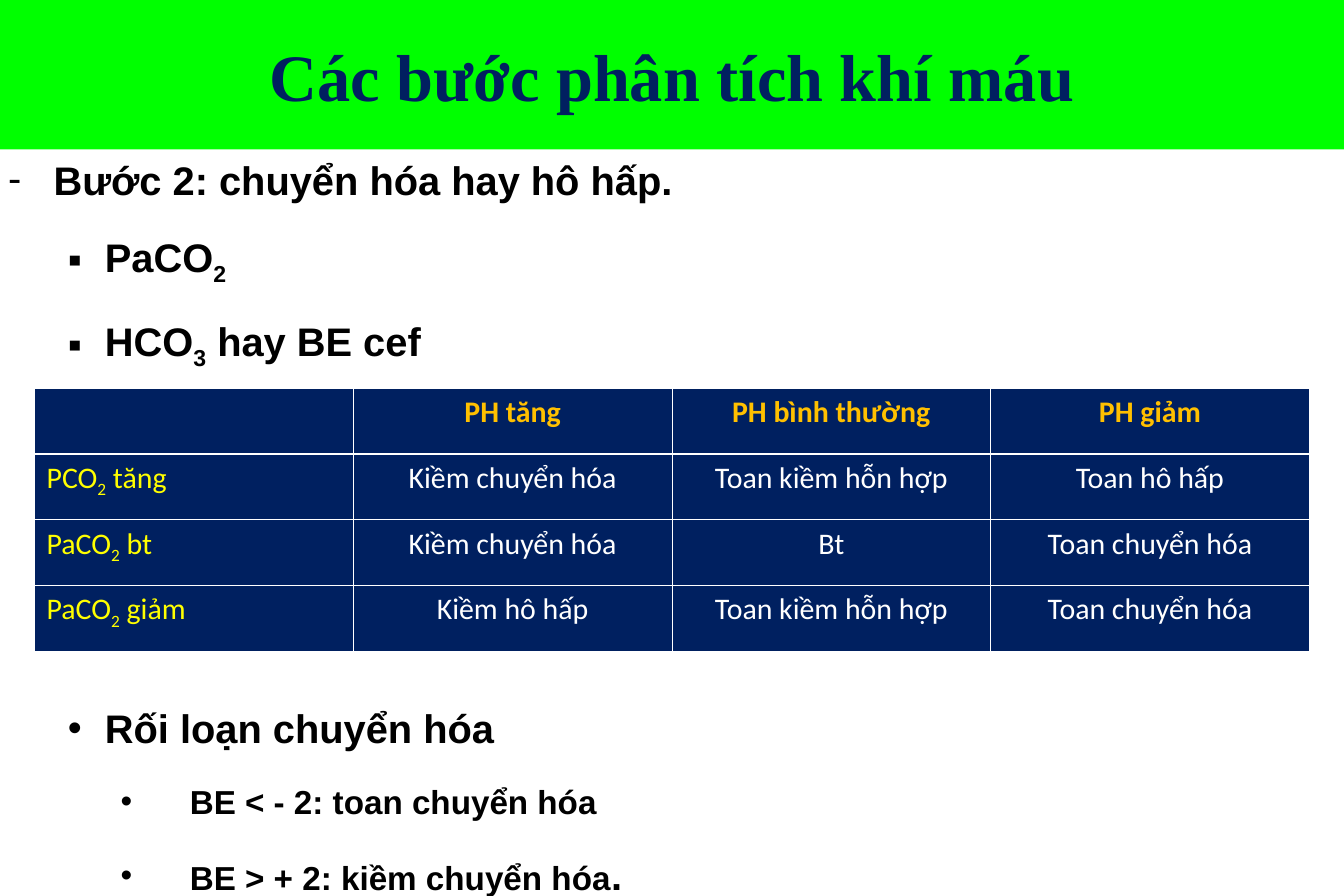
"""Build the slide on the second step of blood gas analysis."""
from dataclasses import dataclass

from lxml.etree import SubElement
from pptx import Presentation
from pptx.dml.color import RGBColor
from pptx.enum.text import MSO_ANCHOR, MSO_AUTO_SIZE, PP_ALIGN
from pptx.oxml.ns import qn
from pptx.slide import Slide
from pptx.table import _Cell
from pptx.text.text import _Paragraph
from pptx.util import Inches, Pt

GREEN = RGBColor(0x00, 0xFF, 0x00)
NAVY = RGBColor(0x00, 0x20, 0x60)
BLACK = RGBColor(0x00, 0x00, 0x00)
WHITE = RGBColor(0xFF, 0xFF, 0xFF)
GOLD = RGBColor(0xFF, 0xC0, 0x00)
YELLOW = RGBColor(0xFF, 0xFF, 0x00)

SLIDE_WIDTH = 11.25
THIN_BORDER = 0.45
HEADER_BORDER = 1.47


@dataclass(frozen=True)
class TextRun:
    text: str
    subscript: bool = False
    size: float | None = None


@dataclass(frozen=True)
class Bullet:
    symbol: str
    level: int
    size: float
    runs: tuple[TextRun, ...]


@dataclass(frozen=True)
class BulletBox:
    top: float
    height: float
    bullets: tuple[Bullet, ...]


INDENTS = ((0.38, -0.38), (0.81, -0.31), (1.52, -0.58))
SUBSCRIPT_TWO = TextRun("2", subscript=True)

BULLET_BOXES = (
    BulletBox(1.25, 1.95, (
        Bullet("-", 0, 24, (TextRun("Bước 2: chuyển hóa hay hô hấp."),)),
        Bullet("▪", 1, 24, (TextRun("PaCO"), SUBSCRIPT_TWO)),
        Bullet("▪", 1, 24, (TextRun("HCO"), TextRun("3", subscript=True), TextRun(" hay BE cef"))),
    )),
    BulletBox(5.84, 1.66, (
        Bullet("•", 1, 24, (TextRun("Rối loạn chuyển hóa"),)),
        Bullet("•", 2, 20, (TextRun("BE < - 2: toan chuyển hóa"),)),
        Bullet("•", 2, 20, (TextRun("BE > + 2: kiềm chuyển hóa"), TextRun(".", size=24))),
    )),
)

HEADERS = ("", "PH tăng", "PH bình thường", "PH giảm")
DIAGNOSES = (
    ("PCO", " tăng", ("Kiềm chuyển hóa", "Toan kiềm hỗn hợp", "Toan hô hấp")),
    ("PaCO", " bt", ("Kiềm chuyển hóa", "Bt", "Toan chuyển hóa")),
    ("PaCO", " giảm", ("Kiềm hô hấp", "Toan kiềm hỗn hợp", "Toan chuyển hóa")),
)


def add_runs(paragraph: _Paragraph, runs: tuple[TextRun, ...], font_name: str,
             size: float, color: RGBColor, bold: bool) -> None:
    """Add formatted runs to a paragraph."""
    for text_run in runs:
        run = paragraph.add_run()
        run.text = text_run.text
        run.font.name = font_name
        run.font.size = Pt(text_run.size or size)
        run.font.color.rgb = color
        run.font.bold = bold
        if text_run.subscript:
            run.font._element.set("baseline", "-25000")


def add_title(slide: Slide) -> None:
    """Format the title placeholder as a green banner."""
    title = slide.shapes.title
    title.left, title.top = Inches(0), Inches(0)
    title.width, title.height = Inches(SLIDE_WIDTH), Inches(1.25)
    title.fill.solid()
    title.fill.fore_color.rgb = GREEN
    frame = title.text_frame
    frame.auto_size = MSO_AUTO_SIZE.NONE
    frame.vertical_anchor = MSO_ANCHOR.MIDDLE
    paragraph = frame.paragraphs[0]
    paragraph.alignment = PP_ALIGN.CENTER
    add_runs(paragraph, (TextRun("Các bước phân tích khí máu"),), "Times New Roman", 40, NAVY, True)


def format_bullet(paragraph: _Paragraph, bullet: Bullet) -> None:
    """Set the bullet symbol and hanging indent of a paragraph."""
    margin, indent = INDENTS[bullet.level]
    properties = paragraph._p.get_or_add_pPr()
    properties.set("marL", str(Inches(margin)))
    properties.set("indent", str(Inches(indent)))
    bullet_color = SubElement(properties, qn("a:buClr"))
    SubElement(bullet_color, qn("a:srgbClr"), val=str(BLACK))
    SubElement(properties, qn("a:buFont"), typeface="Arial")
    SubElement(properties, qn("a:buChar"), char=bullet.symbol)
    paragraph.level = bullet.level
    paragraph.alignment = PP_ALIGN.JUSTIFY


def add_bullet_box(slide: Slide, box: BulletBox) -> None:
    """Add a text box of bulleted paragraphs."""
    shape = slide.shapes.add_textbox(Inches(-0.03), Inches(box.top), Inches(SLIDE_WIDTH), Inches(box.height))
    frame = shape.text_frame
    frame.word_wrap = True
    for index, bullet in enumerate(box.bullets):
        paragraph = frame.add_paragraph() if index else frame.paragraphs[0]
        format_bullet(paragraph, bullet)
        if index:
            paragraph.space_before = Pt(18)
        add_runs(paragraph, bullet.runs, "Arial", bullet.size, BLACK, True)


def format_cell(cell: _Cell, row: int) -> None:
    """Give a cell white borders and a navy fill."""
    properties = cell._tc.get_or_add_tcPr()
    top = HEADER_BORDER if row == 1 else THIN_BORDER
    bottom = HEADER_BORDER if row == 0 else THIN_BORDER
    widths = {"lnL": THIN_BORDER, "lnR": THIN_BORDER, "lnT": top, "lnB": bottom}
    for side, width in widths.items():
        line = SubElement(properties, qn(f"a:{side}"), w=str(Pt(width)))
        fill = SubElement(line, qn("a:solidFill"))
        SubElement(fill, qn("a:srgbClr"), val=str(WHITE))
    cell.fill.solid()
    cell.fill.fore_color.rgb = NAVY


def add_diagnosis_table(slide: Slide) -> None:
    """Add the table of disorders by PH and PaCO2."""
    rows = [[(TextRun(header),) if header else () for header in HEADERS]]
    for gas, trend, disorders in DIAGNOSES:
        label = (TextRun(gas), SUBSCRIPT_TWO, TextRun(trend))
        rows.append([label, *((TextRun(disorder),) for disorder in disorders)])
    frame = slide.shapes.add_table(len(rows), len(HEADERS), Inches(0.29), Inches(3.25),
                                   Inches(10.67), Inches(2.2))
    for row, cells in enumerate(rows):
        for column, runs in enumerate(cells):
            cell = frame.table.cell(row, column)
            format_cell(cell, row)
            color = GOLD if row == 0 else YELLOW if column == 0 else WHITE
            paragraph = cell.text_frame.paragraphs[0]
            paragraph.alignment = PP_ALIGN.CENTER if column else PP_ALIGN.LEFT
            add_runs(paragraph, runs, "Calibri", 18, color, row == 0)


def main() -> None:
    """Build and save the presentation."""
    presentation = Presentation()
    presentation.slide_width = Inches(SLIDE_WIDTH)
    presentation.slide_height = Inches(7.5)
    slide = presentation.slides.add_slide(presentation.slide_layouts[5])
    add_title(slide)
    for box in BULLET_BOXES:
        add_bullet_box(slide, box)
    add_diagnosis_table(slide)
    presentation.save("out.pptx")


if __name__ == "__main__":
    main()
